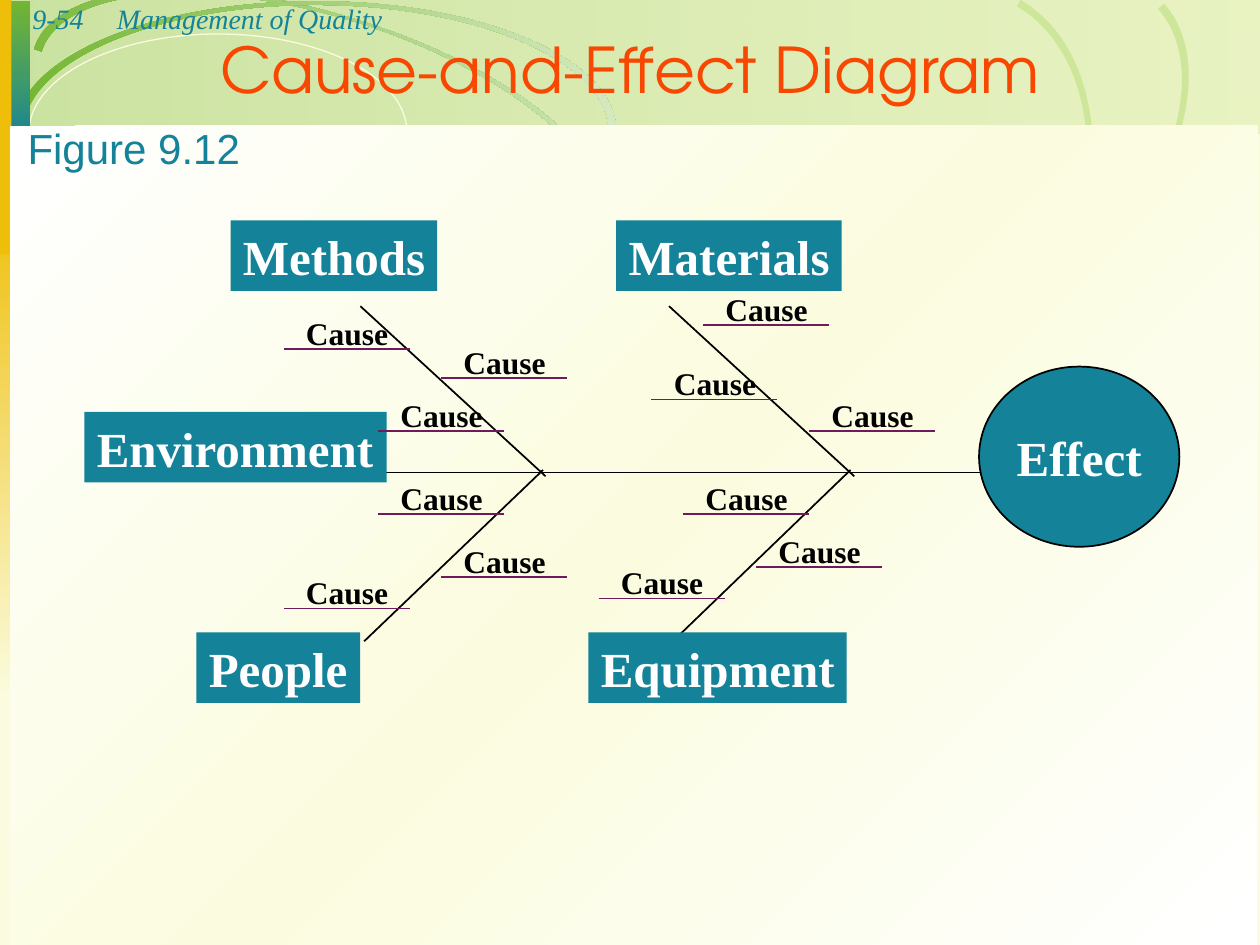
from dataclasses import dataclass
from typing import NamedTuple

from pptx import Presentation
from pptx.dml.color import RGBColor
from pptx.enum.shapes import MSO_CONNECTOR, MSO_SHAPE
from pptx.enum.text import MSO_ANCHOR, MSO_AUTO_SIZE, PP_ALIGN
from pptx.oxml import parse_xml
from pptx.oxml.ns import nsdecls, qn
from pptx.util import Inches, Pt

RECTANGLE, OVAL = MSO_SHAPE.RECTANGLE, MSO_SHAPE.OVAL
STRAIGHT = MSO_CONNECTOR.STRAIGHT
TOP, MIDDLE, BOTTOM = MSO_ANCHOR.TOP, MSO_ANCHOR.MIDDLE, MSO_ANCHOR.BOTTOM
LEFT, CENTER = PP_ALIGN.LEFT, PP_ALIGN.CENTER
FIT_SHAPE, NO_FIT = MSO_AUTO_SIZE.SHAPE_TO_FIT_TEXT, MSO_AUTO_SIZE.NONE


@dataclass(frozen=True)
class Theme:
    cream: str = "FBFCDF"
    white: str = "FFFFFF"
    black: str = "000000"
    green: str = "74B632"
    pale_green: str = "D5E9C1"
    band_green: str = "BCDD7B"
    ring_green: str = "CDE69A"
    teal: str = "148298"
    gold: str = "EFBE09"
    orange: str = "F84700"
    plum: str = "701A5C"
    serif: str = "Times New Roman"
    sans: str = "Arial"
    display: str = "TeX Gyre Adventor"
    title_size: int = 36
    box_size: int = 28
    figure_size: int = 24
    cause_size: int = 18
    header_size: int = 16


THEME = Theme()


class Box(NamedTuple):
    left: float
    top: float
    width: float
    height: float


class Point(NamedTuple):
    x: float
    y: float


class Stop(NamedTuple):
    position: int
    color: str
    opacity: int = 100


class Gradient(NamedTuple):
    stops: tuple[Stop, ...]
    angle: int


class Ring(NamedTuple):
    """A thin band between two chains of cubic curves."""
    outer: tuple
    inner: tuple
    fill: str | Gradient


class Category(NamedTuple):
    name: str
    box: Box


def fade(start: str, end: str, angle: int) -> Gradient:
    return Gradient((Stop(0, start), Stop(100, end)), angle)


PANELS = (
    (Box(0, 1.55, 0.22, 4.01), fade(THEME.gold, THEME.cream, 90)),
    (Box(0.01, 0.01, 0.23, 1.14), fade(THEME.green, THEME.teal, 90)),
    (Box(0, 0, 0.09, 2.02), THEME.gold),
    (Box(0.08, 1, 9.9, 6.5), Gradient(
        (Stop(0, THEME.white), Stop(50, THEME.cream), Stop(100, THEME.white)), 45)),
)
BAND = Gradient((Stop(0, THEME.green, 36), Stop(100, THEME.band_green, 29)), 0)
SWEEP = Ring(
    ((0.33, 0.41), (0.49, -0.1), (1.61, -0.2), (2.84, 0.18),
     (4.06, 0.57), (4.92, 1.29), (4.76, 1.8)),
    ((4.82, 1.82), (4.99, 1.3), (4.1, 0.55), (2.84, 0.16),
     (1.59, -0.24), (0.43, -0.14), (0.27, 0.39)),
    fade(THEME.green, THEME.pale_green, 342))
FRONT_RINGS = (
    Ring(((5.73, 3.17), (6.19, 3.68), (7.34, 3.41), (8.3, 2.56),
          (9.25, 1.7), (9.65, 0.59), (9.19, 0.07)),
         ((9.24, 0.03), (9.71, 0.56), (9.3, 1.71), (8.32, 2.59),
          (7.34, 3.46), (6.16, 3.74), (5.68, 3.21)), THEME.ring_green),
    Ring(((5.7, 4.04), (6.41, 4.46), (7.51, 3.91), (8.17, 2.81),
          (8.82, 1.71), (8.78, 0.47), (8.07, 0.05)),
         ((8.1, 0), (8.83, 0.43), (8.87, 1.7), (8.2, 2.83),
          (7.53, 3.96), (6.39, 4.53), (5.67, 4.1)), THEME.ring_green),
    Ring(((0.19, 1.04), (0.19, 0.49), (1.23, 0.04), (2.51, 0.04),
          (3.79, 0.04), (4.83, 0.49), (4.83, 1.04)),
         ((4.89, 1.04), (4.89, 0.47), (3.83, 0.01), (2.51, 0.01),
          (1.19, 0.01), (0.12, 0.47), (0.12, 1.04)),
         fade(THEME.green, THEME.pale_green, 0)),
)
BONES = (
    (Point(7.78, 3.75), Point(1.42, 3.75)),
    (Point(6.78, 3.78), Point(5.31, 2.43)),
    (Point(4.33, 3.78), Point(2.86, 2.43)),
    (Point(5.34, 5.09), Point(6.75, 3.73)),
    (Point(2.89, 5.09), Point(4.31, 3.73)),
)
CATEGORIES = (
    Category("Materials", Box(4.89, 1.75, 1.79, 0.56)),
    Category("Methods", Box(1.83, 1.75, 1.64, 0.56)),
    Category("Equipment", Box(4.67, 5.02, 2.05, 0.56)),
    Category("People", Box(1.56, 5.02, 1.3, 0.56)),
    Category("Environment", Box(0.67, 3.27, 2.4, 0.56)),
)
CAUSES = (
    Point(4.75, 4.75), Point(3.5, 3), Point(6, 4.5), Point(5.42, 4.08),
    Point(3.5, 4.58), Point(5.17, 3.17), Point(3, 3.42), Point(3, 4.08),
    Point(5.58, 2.58), Point(2.25, 2.77), Point(2.25, 4.83), Point(6.42, 3.42),
)


def lengths(values: tuple) -> list[int]:
    return [Inches(value) for value in values]


def set_fill(shape, fill: str | Gradient) -> None:
    if isinstance(fill, str):
        shape.fill.solid()
        shape.fill.fore_color.rgb = RGBColor.from_string(fill)
        return
    stops = "".join(
        f'<a:gs pos="{stop.position * 1000}"><a:srgbClr val="{stop.color}">'
        f'<a:alpha val="{stop.opacity * 1000}"/></a:srgbClr></a:gs>' for stop in fill.stops)
    shape.fill.background()
    properties = shape._element.spPr
    properties.replace(properties.find(qn("a:noFill")), parse_xml(
        f'<a:gradFill {nsdecls("a")}><a:gsLst>{stops}</a:gsLst>'
        f'<a:lin ang="{fill.angle * 60000}" scaled="0"/></a:gradFill>'))


def set_line(item, color: str, width: float) -> None:
    item.line.color.rgb = RGBColor.from_string(color)
    item.line.width = Pt(width)


def add_panel(slide, box: Box, fill: str | Gradient | None, kind=RECTANGLE):
    shape = slide.shapes.add_shape(kind, *lengths(box))
    shape.shadow.inherit = False
    shape.line.fill.background()
    if fill is None:
        shape.fill.background()
    else:
        set_fill(shape, fill)
    return shape


def bend(segments: list) -> None:
    """Merge each three straight segments into one cubic curve."""
    for first in range(0, len(segments), 3):
        curve = parse_xml(f'<a:cubicBezTo {nsdecls("a")}/>')
        segments[first].addprevious(curve)
        for segment in segments[first:first + 3]:
            curve.append(segment[0])
            segment.getparent().remove(segment)


def add_ring(slide, ring: Ring) -> None:
    start, *rest = [tuple(lengths(point)) for point in ring.outer + ring.inner]
    builder = slide.shapes.build_freeform(*start)
    builder.add_line_segments(rest, close=True)
    shape = builder.convert_to_shape()
    segments = list(shape._element.iter(qn("a:lnTo")))
    joint = len(ring.outer) - 1
    bend(segments[:joint])
    bend(segments[joint + 1:joint + len(ring.inner)])
    shape.shadow.inherit = False
    shape.line.fill.background()
    set_fill(shape, ring.fill)


def add_line(slide, start: Point, end: Point, color: str) -> None:
    connector = slide.shapes.add_connector(STRAIGHT, *lengths(start + end))
    set_line(connector, color, 1)
    connector._element.spPr.append(parse_xml(f'<a:effectLst {nsdecls("a")}/>'))


def write(shape, text: str, size: int, color: str, name: str = THEME.serif,
          bold: bool = False, italic: bool = False, align=LEFT, anchor=TOP,
          wrap: bool = False, fit=FIT_SHAPE) -> None:
    frame = shape.text_frame
    frame.text = text
    paragraph = frame.paragraphs[0]
    right_margin = 0.1 if align == CENTER else 0.05  # spare width keeps labels on one line
    formats = (
        (frame, {"word_wrap": wrap, "auto_size": fit, "vertical_anchor": anchor,
                 "margin_left": Inches(0.1), "margin_right": Inches(right_margin),
                 "margin_top": Inches(0.05), "margin_bottom": Inches(0.05)}),
        (paragraph, {"alignment": align, "space_before": Pt(0)}),
        (paragraph.runs[0].font, {"size": Pt(size), "name": name, "bold": bold,
                                  "italic": italic}),
    )
    for target, values in formats:
        for attribute, value in values.items():
            setattr(target, attribute, value)
    paragraph.runs[0].font.color.rgb = RGBColor.from_string(color)


def add_text(slide, box: Box, text: str, size: int, color: str, **options) -> None:
    write(slide.shapes.add_textbox(*lengths(box)), text, size, color, **options)


def add_cause(slide, start: Point) -> None:
    add_line(slide, start, Point(start.x + 1, start.y), THEME.plum)
    add_text(slide, Box(start.x + 0.08, start.y - 0.33, 0.86, 0.4), "Cause",
             THEME.cause_size, THEME.black, bold=True)


def add_backdrop(slide) -> None:
    slide.background.fill.solid()
    slide.background.fill.fore_color.rgb = RGBColor.from_string(THEME.cream)
    add_panel(slide, Box(0.01, 0, 9.99, 1.06), BAND)
    add_ring(slide, SWEEP)
    set_line(add_panel(slide, Box(0.23, 0.27, 3, 1.56), None, OVAL), THEME.cream, 0.75)
    for ring in FRONT_RINGS:
        add_ring(slide, ring)
    for box, fill in PANELS:
        add_panel(slide, box, fill)


def add_headings(slide) -> None:
    for left, width, text in ((0.16, 0.86, "9-54"), (0.83, 8.67, "Management of Quality")):
        add_text(slide, Box(left, -0.04, width, 0.37), text, THEME.header_size,
                 THEME.teal, italic=True, wrap=True)
    title = slide.shapes.title
    title.left, title.top, title.width, title.height = lengths(Box(0, 0.2, 10, 0.69))
    write(title, "Cause-and-Effect Diagram", THEME.title_size, THEME.orange,
          name=THEME.display, align=CENTER, anchor=BOTTOM, wrap=True, fit=NO_FIT)
    slide.shapes._spTree.append(title._element)  # bring in front of the backdrop
    add_text(slide, Box(0.12, 0.92, 1.88, 0.5), "Figure 9.12", THEME.figure_size,
             THEME.teal, name=THEME.sans)


def add_fishbone(slide) -> None:
    effect = add_panel(slide, Box(7.77, 2.91, 1.59, 1.43), THEME.teal, OVAL)
    set_line(effect, THEME.black, 1)
    write(effect, "Effect", THEME.box_size, THEME.white, bold=True,
          align=CENTER, anchor=MIDDLE, fit=NO_FIT)
    for start, end in BONES:
        add_line(slide, start, end, THEME.black)
    for category in CATEGORIES:
        write(add_panel(slide, category.box, THEME.teal), category.name,
              THEME.box_size, THEME.white, bold=True)
    for start in CAUSES:
        add_cause(slide, start)


def main() -> None:
    presentation = Presentation()
    presentation.slide_width, presentation.slide_height = Inches(10), Inches(7.5)
    slide = presentation.slides.add_slide(presentation.slide_layouts[5])
    add_backdrop(slide)
    add_headings(slide)
    add_fishbone(slide)
    presentation.save("out.pptx")


if __name__ == "__main__":
    main()
